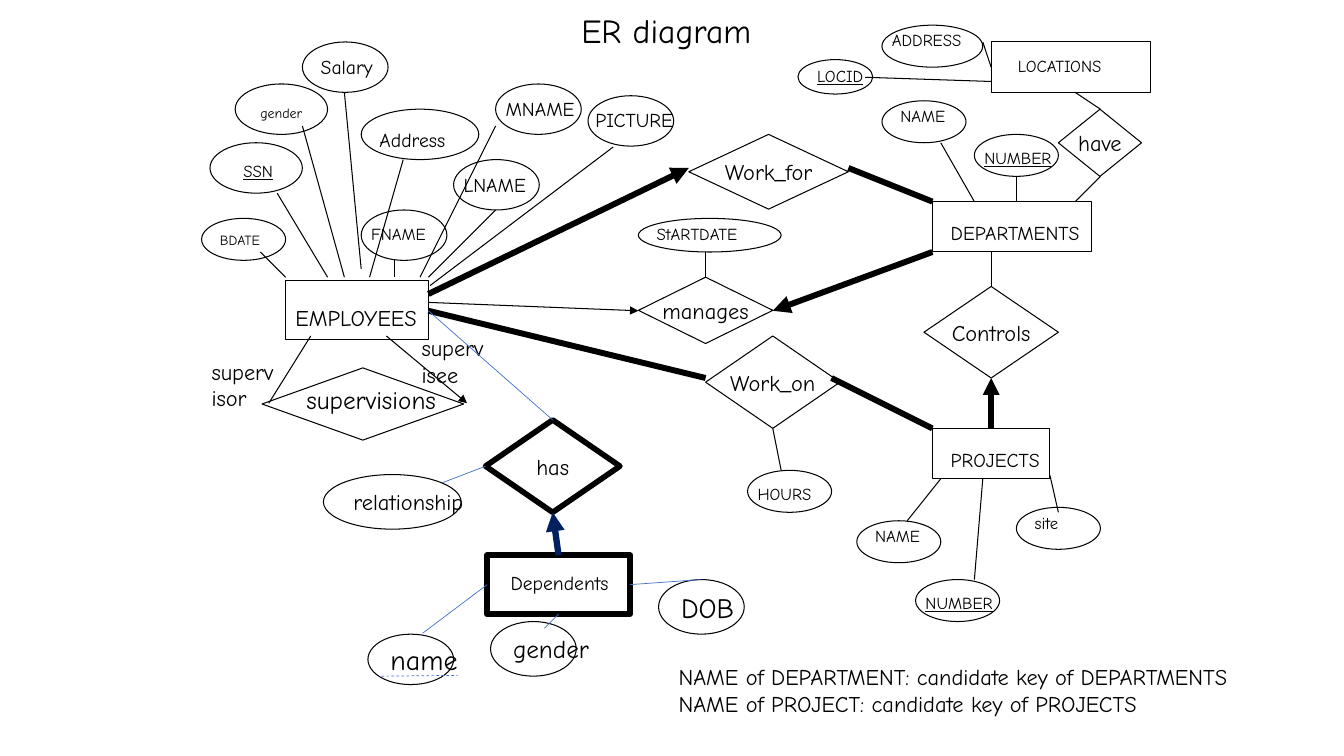
"""Draw an ER diagram of a company on a grid of 160 columns by 90 rows."""
from pptx import Presentation, util as u
from pptx.dml.color import RGBColor
from pptx.enum import shapes as s, text as t
from pptx.oxml.ns import qn
from lxml import etree

deck = Presentation()
deck.slide_width, deck.slide_height = u.Inches(13.3333), u.Inches(7.5)
unit = deck.slide_height / 90
slide = deck.slides.add_slide(deck.slide_layouts[5])


def grid(*nums):
    return [round(n * unit) for n in nums]


def write(frame, words, size, align, under=False, wrap=False):
    frame.text = words
    frame.word_wrap = wrap
    for para in frame.paragraphs:
        para.alignment = align
        for run in para.runs:
            run.font.name, run.font.size = "Comic Neue", u.Pt(size)
            run.font.color.rgb = RGBColor.from_string("000000")
            run.font.underline = under


left, mid = t.PP_ALIGN.LEFT, t.PP_ALIGN.CENTER

title = slide.shapes.title
title.left, title.top, title.width, title.height = grid(68, 0.6, 23.5, 6)
write(title.text_frame, "ER diagram", 24, left)
title.text_frame.vertical_anchor = t.MSO_ANCHOR.TOP

forms = [
    (s.MSO_SHAPE.RECTANGLE, mid, [
        (111, 51, 14, 6), (34, 33.4, 17, 7), (111, 24, 19, 6),
        (118, 5, 19, 6), (58, 66.1, 17, 7, "", 0, 4.5)]),
    (s.MSO_SHAPE.DIAMOND, mid, [
        (84, 40, 16, 11, "Work_on", 16), (31.2, 43.8, 24, 8.6),
        (110, 34.1, 16, 10.9, "Controls", 16),
        (76, 33, 16, 7.9, "manages", 16),
        (82, 16, 19, 8.9, "Work_for", 16), (126, 13, 9.9, 8, "have", 16),
        (57.8, 50, 16, 11, "has", 16, 4)]),
    (s.MSO_SHAPE.OVAL, left, [
        (102, 62, 10, 5), (109, 69, 10, 5), (24, 26, 10, 5),
        (25, 17, 11, 6), (28, 10, 11, 6), (89, 56, 10, 5),
        (105, 12, 10, 5), (116, 16, 10, 5), (76, 26, 17, 4),
        (105, 3, 12, 5), (43, 25, 10.2, 6), (43, 13, 14, 6),
        (36, 5, 10.2, 6), (54, 19, 10.2, 6), (59, 10, 10.2, 6),
        (70, 11.4, 10.2, 6), (121, 60.4, 10, 5), (95, 7.1, 8.9, 4.1),
        (43.8, 75.5, 10.2, 6, "name", 20),
        (58.4, 74, 10.2, 6.5, "gender", 18),
        (78.4, 69, 10.2, 6.5, "DOB", 20),
        (38.5, 56.5, 16.4, 6.5, "relationship", 16)]),
]
for kind, align, items in forms:
    for x, y, w, h, *rest in items:
        words, size, thick = (rest + ["", 0, 0.75][len(rest):])
        form = slide.shapes.add_shape(kind, *grid(x, y, w, h))
        form.shadow.inherit = False
        form.fill.background()
        form.line.color.rgb = RGBColor.from_string("000000")
        form.line.width = u.Pt(thick)
        if words:
            write(form.text_frame, words, size, align)

tags = [
    (10, 3.2, False, False, [
        (25, 27, 8, "BDATE"), (29.8, 11.8, 7.8, "gender")]),
    (12, 3.6, False, False, [
        (103, 62, 8.5, "NAME"), (89, 57, 9.7, "HOURS"),
        (106, 12, 8.5, "NAME"), (77, 26, 14.3, "StARTDATE"),
        (120, 6, 15, "LOCATIONS"), (105, 3, 12.1, "ADDRESS"),
        (43, 26, 9.8, "FNAME"), (122, 60.4, 6, "site")]),
    (12, 3.6, True, False, [
        (109, 70, 11, "NUMBER"), (27.8, 18.5, 6.8, "SSN"),
        (116, 17, 11, "NUMBER"), (96.1, 7.2, 8.9, "LOCID")]),
    (14, 4, False, False, [
        (112, 52.7, 14.6, "PROJECTS"), (112, 25.7, 20.3, "DEPARTMENTS"),
        (44, 14.6, 11.5, "Address"), (37, 6, 9.4, "Salary"),
        (54, 20, 10.9, "LNAME"), (59, 11, 11.6, "MNAME"),
        (69.7, 12.2, 12.6, "PICTURE"), (59.6, 67.4, 15.4, "Dependents")]),
    (16, 4.4, False, False, [(34, 35.6, 18.5, "EMPLOYEES")]),
    (16, 7.7, False, True, [
        (49, 39.2, 10, "supervisee"), (24, 42, 10, "supervisor")]),
    (16, 7.7, False, False, [
        (79.6, 78.4, 76.7, "NAME of DEPARTMENT: candidate key of DEPARTMENTS\n"
         "NAME of PROJECT: candidate key of PROJECTS")]),
    (18, 4.8, False, False, [(35.3, 45.2, 19.4, "supervisions")]),
]
for size, h, under, wrap, items in tags:
    for x, y, w, words in items:
        box = slide.shapes.add_textbox(*grid(x, y, w, h))
        write(box.text_frame, words, size, left, under, wrap)
        box.text_frame.auto_size = t.MSO_AUTO_SIZE.SHAPE_TO_FIT_TEXT

links = [
    ("000000", 0.75, "", [
        (32, 48, 37, 40), (34, 33, 31, 30), (39, 33, 33, 23),
        (112, 57, 108, 62), (117, 57, 116, 69), (92, 51, 93, 56),
        (118, 30, 118, 34), (121, 24, 121, 21), (116, 24, 112, 17),
        (84, 30, 84, 33), (128, 24, 131, 21), (131, 13, 128, 11),
        (117, 5, 118, 8), (47, 33, 47, 31), (41, 33, 36, 15),
        (41, 11, 43, 32), (48, 19, 44, 33), (51, 33, 59, 25),
        (50, 33, 59, 15), (51.2, 34, 73, 17.5), (125, 56.6, 126, 61),
        (118, 9.7, 103, 9.2)]),
    ("000000", 0.75, "tailEnd", [(46, 40, 55.6, 48), (51, 36, 76, 37)]),
    ("000000", 4.25, "", [
        (51, 37, 84, 45), (99, 45, 111, 51), (101, 20, 111, 24)]),
    ("000000", 4.25, "tailEnd", [(111, 30, 92, 37), (51, 35, 82, 20)]),
    ("000000", 4, "tailEnd", [(118, 51, 118, 45)]),
    ("002060", 4.5, "tailEnd", [(66.5, 66.1, 65.8, 61)]),
    ("4472C4", 0.5, "", [
        (65.8, 50, 51, 37), (57.8, 55.5, 52.6, 57.5),
        (75, 69.6, 83.4, 69), (66.5, 73.1, 64.8, 74.8),
        (58, 69.6, 50.3, 75.4)]),
    ("4472C4", 0.5, "prstDash", [(45.4, 80.5, 54.5, 80.4)]),
]
for hue, thick, mark, items in links:
    for ends in items:
        link = slide.shapes.add_connector(s.MSO_CONNECTOR.STRAIGHT, *grid(*ends))
        link.line.color.rgb = RGBColor.from_string(hue)
        link.line.width = u.Pt(thick)
        prop = link._element.spPr
        etree.SubElement(prop, qn("a:effectLst"))
        if mark == "tailEnd":
            etree.SubElement(link.line._get_or_add_ln(), qn("a:tailEnd"), type="triangle")
        elif mark:
            etree.SubElement(link.line._get_or_add_ln(), qn("a:prstDash"), val="dash")

deck.save("out.pptx")
